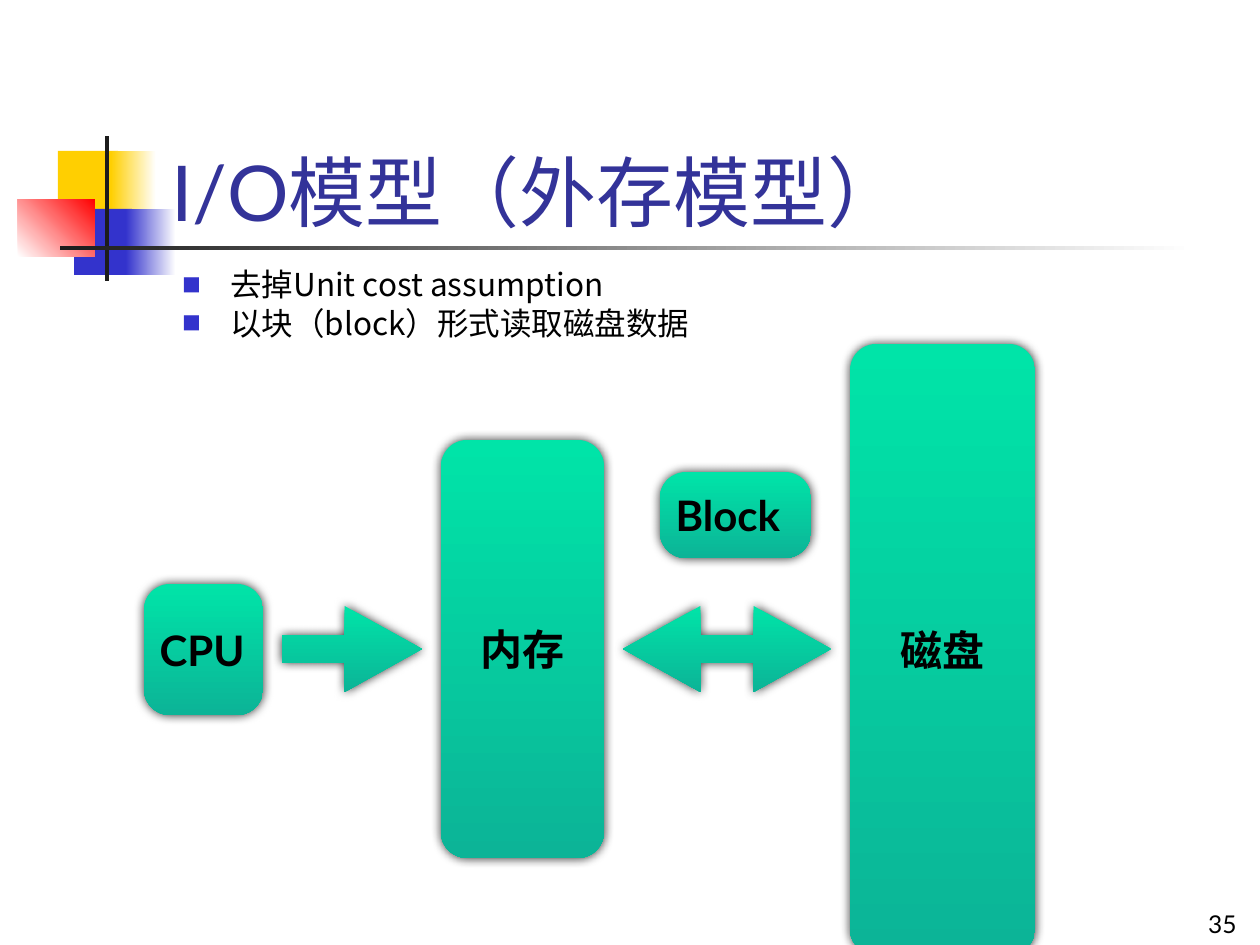
from lxml import etree
from pptx import Presentation, util as u
from pptx.dml.color import RGBColor
from pptx.enum import shapes, text
from pptx.oxml import ns

PX = 914400 // 126
COLORS = {
    "yellow": "FFCF01", "blue": "3333CC", "red": "FF0000", "white": "FFFFFF",
    "dark": "1C1C1C", "title": "333399", "black": "000000",
    "green_top": "00E4A8", "green_bottom": "0CB497",
}
LATIN, CJK = "Lato", "Noto Sans CJK SC"
KIND = shapes.MSO_SHAPE

TITLE = "I/O模型（外存模型）"
BULLETS = ["去掉Unit cost assumption", "以块（block）形式读取磁盘数据"]
PAGE_NUMBER = "35"

DECORATION = [
    ((58, 151, 60, 66), ["yellow"], 0),
    ((111, 151, 45, 66), ["yellow", "white"], 0),
    ((74, 209, 58, 66), ["blue"], 0),
    ((126, 209, 50, 66), ["blue", "white"], 0),
    ((18, 199, 77, 58), ["white", "red"], 45),
    ((105, 136, 4, 145), ["dark"], 0),
    ((60, 246, 1134, 4), ["dark", "white"], 0),
]

LEFT, MIDDLE, GAP, RADIUS = 144, 649, 19, 26
FLOW = [
    (KIND.ROUNDED_RECTANGLE, 119, 131, "CPU", "LEFT"),
    (KIND.RIGHT_ARROW, 140, 86, "", "LEFT"),
    (KIND.ROUNDED_RECTANGLE, 163, 418, "内存", "CENTER"),
    (KIND.LEFT_RIGHT_ARROW, 208, 86, "", "LEFT"),
    (KIND.ROUNDED_RECTANGLE, 185, 611, "磁盘", "CENTER"),
]
BLOCK_BOX = (660, 472, 151, 86)


def rgb(name):
    return RGBColor.from_string(COLORS[name])


def place(box):
    return [length * PX for length in box]


def add_figure(slide, kind, box, colors, angle=0):
    shape = slide.shapes.add_shape(kind, *place(box))
    shape.shadow.inherit = False
    shape.line.fill.background()
    if len(colors) == 1:
        shape.fill.solid()
        shape.fill.fore_color.rgb = rgb(colors[0])
    else:
        shape.fill.gradient()
        shape.fill.gradient_angle = angle
        for stop, name in zip(shape.fill.gradient_stops, colors):
            stop.color.rgb = rgb(name)
    return shape


def format_paragraph(paragraph, size, color="black", latin=LATIN, bold=False, align="LEFT"):
    paragraph.alignment = getattr(text.PP_ALIGN, align)
    for run in paragraph.runs:
        run.font.size = u.Pt(size)
        run.font.bold = bold
        run.font.name = latin
        run.font.color.rgb = rgb(color)
        etree.SubElement(run.font._element, ns.qn("a:ea"), typeface=CJK)


def add_text(slide, box, content, anchor):
    frame = slide.shapes.add_textbox(*place(box)).text_frame
    frame.word_wrap = True
    frame.vertical_anchor = anchor
    frame.text = content
    return frame.paragraphs


def add_bullet(paragraph):
    properties = paragraph._p.get_or_add_pPr()
    properties.set("marL", str(48 * PX))
    properties.set("indent", str(-48 * PX))
    color = etree.SubElement(properties, ns.qn("a:buClr"))
    etree.SubElement(color, ns.qn("a:srgbClr"), val=COLORS["blue"])
    etree.SubElement(properties, ns.qn("a:buSzPct"), val="60000")
    etree.SubElement(properties, ns.qn("a:buFont"), typeface=CJK)
    etree.SubElement(properties, ns.qn("a:buChar"), char="■")


def add_glow_shadow(shape):
    effects = shape._element.spPr.find(ns.qn("a:effectLst"))
    shadow = etree.SubElement(effects, ns.qn("a:outerShdw"), blurRad=str(u.Pt(6)),
                              dist="0", dir="18900000", rotWithShape="0")
    color = etree.SubElement(shadow, ns.qn("a:srgbClr"), val=COLORS["black"])
    etree.SubElement(color, ns.qn("a:alpha"), val="80000")


def add_node(slide, kind, box, label, align):
    shape = add_figure(slide, kind, box, ["green_top", "green_bottom"], 270)
    add_glow_shadow(shape)
    if kind == KIND.ROUNDED_RECTANGLE:
        shape.adjustments[0] = round(RADIUS / min(box[2:]), 3)
    else:
        shape.adjustments[0] = 0.32
        shape.adjustments[1] = 0.9
    if label:
        frame = shape.text_frame
        frame.margin_left = frame.margin_right = 8 * PX
        frame.margin_top = frame.margin_bottom = 8 * PX
        frame.vertical_anchor = text.MSO_ANCHOR.MIDDLE
        frame.text = label
        format_paragraph(frame.paragraphs[0], 24, bold=True, align=align)


def main():
    presentation = Presentation()
    presentation.slide_width, presentation.slide_height = 1260 * PX, 945 * PX
    slide = presentation.slides.add_slide(presentation.slide_layouts[6])

    for box, colors, angle in DECORATION:
        add_figure(slide, KIND.RECTANGLE, box, colors, angle)

    title = add_text(slide, (159, 86, 1074, 157), TITLE, text.MSO_ANCHOR.BOTTOM)
    format_paragraph(title[0], 44, "title")

    for paragraph in add_text(slide, (170, 265, 1051, 139), "\n".join(BULLETS), text.MSO_ANCHOR.TOP):
        format_paragraph(paragraph, 18, latin=CJK)
        paragraph.line_spacing = 0.85
        paragraph.space_before = u.Pt(3.6)
        add_bullet(paragraph)

    number = add_text(slide, (987, 882, 262, 63), PAGE_NUMBER, text.MSO_ANCHOR.BOTTOM)
    format_paragraph(number[0], 14, align="RIGHT")

    left = LEFT
    for kind, width, height, label, align in FLOW:
        add_node(slide, kind, (left, MIDDLE - height // 2, width, height), label, align)
        left += width + GAP
    add_node(slide, KIND.ROUNDED_RECTANGLE, BLOCK_BOX, "Block", "LEFT")

    presentation.save("out.pptx")


if __name__ == "__main__":
    main()
